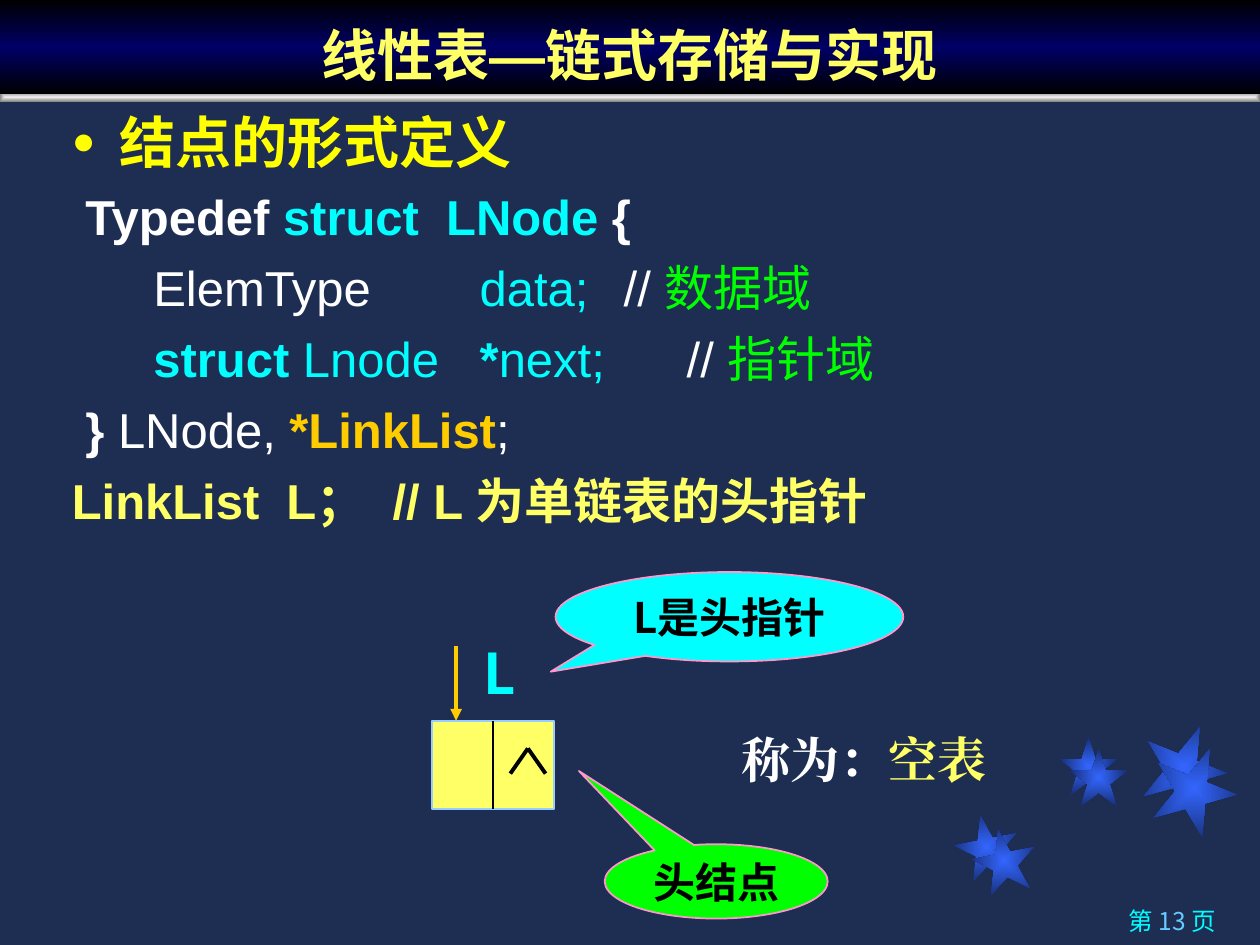
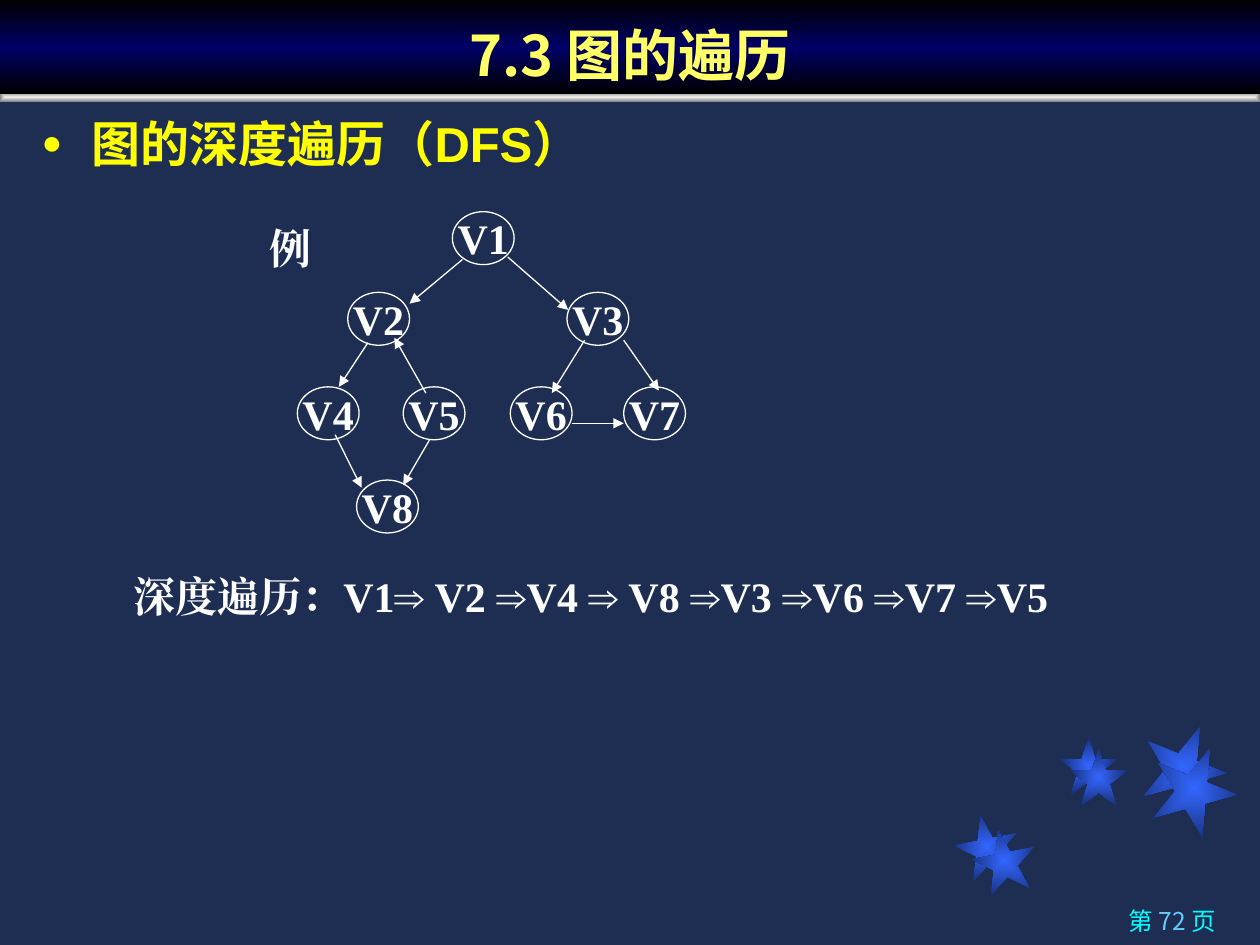
from lxml.etree import SubElement
from pptx import Presentation
from pptx.dml.color import RGBColor
from pptx.enum.shapes import MSO_CONNECTOR as Link, MSO_SHAPE as Form
from pptx.enum.text import MSO_ANCHOR as Anchor, MSO_AUTO_SIZE as Fit, PP_ALIGN as Align
from pptx.oxml.ns import qn
from pptx.util import Inches, Pt

COLORS = {
    "back": "1E2E53", "white": "FFFFFF", "black": "000000", "navy": "000066",
    "cyan": "00FFFF", "sky": "66CCFF", "pale": "99CCFF", "green": "00FF00",
    "yellow": "FFFF00", "lemon": "FFFF66", "gold": "FFCC00", "pink": "FF99CC",
    "star": "3366FF", "shade": "182F76", "silver": "EDEDED", "gray": "808080",
}
SANS, ARIAL, TIMES = "Noto Sans CJK SC", "Arial", "Times New Roman"


def rgb(name):
    return RGBColor.from_string(COLORS[name])


def place(shape, x, y, w, h):
    shape.left, shape.top = Inches(x), Inches(y)
    shape.width, shape.height = Inches(w), Inches(h)


# Text
def write(para, runs, size, font):
    """Each run is (text, colour, bold) with an optional font."""
    for text, color, bold, *other in runs:
        run = para.add_run()
        run.text = text
        face = run.font
        face.size, face.bold = Pt(size), bold
        face.color.rgb = rgb(color)
        face.name = other[0] if other else font
        SubElement(run._r.get_or_add_rPr(), qn("a:ea"), typeface=face.name)


def add_text(slide, box, runs, size, font, align=Align.LEFT):
    shape = slide.shapes.add_textbox(*map(Inches, box))
    frame = shape.text_frame
    frame.word_wrap = True
    para = frame.paragraphs[0]
    para.alignment = align
    write(para, runs, size, font)


def set_list(para, indent, bullet):
    props = para._p.get_or_add_pPr()
    props.set("marL", str(Inches(indent)))
    props.set("indent", str(-Inches(indent)))
    if bullet:
        tint = SubElement(props, qn("a:buClr"))
        SubElement(tint, qn("a:srgbClr"), val=COLORS["yellow"])
        SubElement(props, qn("a:buSzPct"), val="70000")
        SubElement(props, qn("a:buFont"), typeface=ARIAL)
        SubElement(props, qn("a:buChar"), char="●")
    else:
        SubElement(props, qn("a:buNone"))
    tabs = SubElement(props, qn("a:tabLst"))
    for inch in range(1 if bullet else 0, 8):
        SubElement(tabs, qn("a:tab"), pos=str(Inches(inch)), algn="l")


def fill_body(slide, box, lines, indent):
    """The first line has the bullet; each line is (size, runs)."""
    body = slide.placeholders[1]
    place(body, *box)
    frame = body.text_frame
    frame.auto_size = Fit.NONE
    for i, (size, runs) in enumerate(lines):
        para = frame.add_paragraph() if i else frame.paragraphs[0]
        set_list(para, indent, bullet=i == 0)
        para.space_before = Pt(7 if i else 0)
        write(para, runs, size, ARIAL)


# Shapes
def blend(shape, names, center=False):
    """Gradient with even stops, top to bottom or from the center out."""
    shape.fill.gradient()
    grad = shape._element.spPr.find(qn("a:gradFill"))
    for child in list(grad):
        grad.remove(child)
    stops = SubElement(grad, qn("a:gsLst"))
    for i, name in enumerate(names):
        pos = 100000 * i // (len(names) - 1)
        stop = SubElement(stops, qn("a:gs"), pos=str(pos))
        SubElement(stop, qn("a:srgbClr"), val=COLORS[name])
    if center:
        track = SubElement(grad, qn("a:path"), path="rect")
        SubElement(track, qn("a:fillToRect"), l="50000", t="50000", r="50000", b="50000")
    else:
        SubElement(grad, qn("a:lin"), ang="5400000", scaled="1")


def add_form(slide, form, box, fill=None, line=None, width=1):
    shape = slide.shapes.add_shape(form, *map(Inches, box))
    shape.shadow.inherit = False
    if fill:
        shape.fill.solid()
        shape.fill.fore_color.rgb = rgb(fill)
    else:
        shape.fill.background()
    if line:
        shape.line.color.rgb = rgb(line)
        shape.line.width = Pt(width)
    else:
        shape.line.fill.background()
    return shape


def add_label(shape, text, color, font):
    frame = shape.text_frame
    frame.word_wrap = False
    frame.vertical_anchor = Anchor.MIDDLE
    para = frame.paragraphs[0]
    para.alignment = Align.CENTER
    write(para, [(text, color, True)], 24, font)


def add_callout(slide, box, tip, fill, text):
    shape = add_form(slide, Form.OVAL_CALLOUT, box, fill, "pink")
    shape.adjustments[0], shape.adjustments[1] = tip
    add_label(shape, text, "black", SANS)


def add_line(slide, start, end, color, width, arrow=False):
    line = slide.shapes.add_connector(Link.STRAIGHT, *map(Inches, start + end))
    line.line.color.rgb = rgb(color)
    line.line.width = Pt(width)
    props = line._element.spPr
    if arrow:
        SubElement(props.find(qn("a:ln")), qn("a:tailEnd"), type="triangle")
    SubElement(props, qn("a:effectLst"))


# Shared look
def dress(slide, layout):
    """Draw the stars and the bar once, then hand them to the layout."""
    stars = [(7.58, 6.47, 0.5, -11), (8.41, 5.85, 0.46, 0), (9.06, 5.75, 0.67, 22),
             (7.72, 6.58, 0.5, -11), (8.49, 5.94, 0.46, 0), (9.14, 5.92, 0.67, 22)]
    parts = []
    for x, y, size, turn in stars:
        star = add_form(slide, Form.STAR_5_POINT, (x, y, size, size))
        star.rotation = turn
        blend(star, ["star", "shade"], center=True)
        parts.append(star)
    bar = add_form(slide, Form.RECTANGLE, (0, 0.73, 10, 0.08))
    blend(bar, ["silver", "gray"], center=True)
    for part in parts + [bar]:
        layout.shapes.element.append(part.element)


def add_frame(slide, title, page):
    head = slide.shapes.title
    place(head, 0, 0, 10, 0.75)
    blend(head, ["black", "navy", "black"])
    frame = head.text_frame
    frame.auto_size = Fit.NONE
    frame.vertical_anchor = Anchor.BOTTOM
    para = frame.paragraphs[0]
    para.alignment = Align.CENTER
    write(para, title, 32, SANS)
    number = [("第 ", "cyan", False), (f"{page} ", "sky", False), ("页", "cyan", False)]
    add_text(slide, (7.12, 7.14, 2.63, 0.36), number, 14, SANS, Align.RIGHT)


# Slide contents
def draw_list(slide):
    add_frame(slide, [("线性表", "lemon", True), ("—", "lemon", True, ARIAL),
                      ("链式存储与实现", "lemon", True)], 13)
    fill_body(slide, (0.47, 0.8, 9.25, 3.55), [
        (32, [("结点的形式定义", "yellow", True)]),
        (28, [(" Typedef ", "white", True), ("struct  LNode", "cyan", True),
              (" {", "white", True)]),
        (28, [("      ElemType        ", "white", False), ("data;  \t", "cyan", False),
              ("// ", "white", False), ("数据域", "green", False)]),
        (28, [("      ", "white", False), ("struct", "cyan", True),
              (" Lnode   ", "cyan", False), ("*", "cyan", True),
              ("next;  \t", "cyan", False), ("// ", "white", False),
              ("指针域", "green", False)]),
        (28, [(" }", "white", True), (" LNode, ", "white", False),
              ("*LinkList", "gold", True), (";", "white", False)]),
        (28, [("LinkList  L；  // L 为单链表的头指针", "lemon", True)]),
    ], 0.38)

    # Head node with its null pointer
    add_form(slide, Form.RECTANGLE, (3.43, 5.72, 0.97, 0.7), "lemon", "pale")
    for foot in (4.05, 4.33):
        add_line(slide, (4.19, 5.94), (foot, 6.14), "black", 2.25)
    add_line(slide, (3.91, 5.72), (3.91, 6.42), "black", 1)
    add_line(slide, (3.62, 5.13), (3.62, 5.72), "gold", 2.25, arrow=True)
    add_text(slide, (3.74, 5.02, 0.67, 0.64), [("L", "cyan", True)], 32, SANS)

    add_callout(slide, (4.41, 4.54, 2.76, 0.71), (-0.514, 0.614), "cyan", "L是头指针")
    add_callout(slide, (4.8, 6.7, 1.77, 0.59), (-0.616, -1.485), "green", "头结点")
    add_text(slide, (5.79, 5.74, 2.56, 0.57),
             [("称为：", "white", True), ("空表", "lemon", True)], 28, TIMES)


def draw_graph(slide):
    add_frame(slide, [("7.3 图的遍历", "lemon", True)], 72)
    fill_body(slide, (0.23, 0.85, 9.5, 0.59),
              [(28, [("图的深度遍历（DFS）", "yellow", True)])], 0.4)
    add_text(slide, (2.04, 1.72, 0.6, 0.5), [("例", "white", True)], 24, TIMES)

    # Nodes, row by row
    rows = [(1.68, {"V1": 3.59}),
            (2.32, {"V2": 2.76, "V3": 4.5}),
            (3.07, {"V4": 2.36, "V5": 3.2, "V6": 4.05, "V7": 4.95}),
            (3.81, {"V8": 2.83})]
    for y, nodes in rows:
        for name, x in nodes.items():
            node = add_form(slide, Form.OVAL, (x, y, 0.49, 0.42), None, "white", 0.75)
            add_label(node, name, "white", TIMES)

    # Edges
    edges = [((3.67, 2.06), (3.25, 2.41)), ((4.03, 2.04), (4.51, 2.46)),
             ((2.92, 2.72), (2.69, 3.07)), ((3.38, 3.12), (3.13, 2.68)),
             ((2.66, 3.45), (2.87, 3.87)), ((3.41, 3.49), (3.2, 3.85)),
             ((4.64, 2.7), (4.38, 3.12)), ((4.54, 3.36), (4.95, 3.36)),
             ((4.95, 2.7), (5.23, 3.1))]
    for start, end in edges:
        add_line(slide, start, end, "white", 0.75, arrow=True)

    # Visit order
    steps = ["深度遍历：V1", " V2 ", "V4 ", " V8 ", "V3 ", "V6 ", "V7 ", "V5"]
    runs = [(steps[0], "white", True)]
    for step in steps[1:]:
        runs += [("⇒", "white", True, ARIAL), (step, "white", True)]
    add_text(slide, (0.96, 4.48, 7.9, 0.5), runs, 24, TIMES)


def main():
    prs = Presentation()
    prs.slide_width, prs.slide_height = Inches(10), Inches(7.5)
    back = prs.slide_master.background.fill
    back.solid()
    back.fore_color.rgb = rgb("back")
    layout = prs.slide_layouts[1]
    first, second = [prs.slides.add_slide(layout) for _ in range(2)]
    dress(first, layout)
    draw_list(first)
    draw_graph(second)
    prs.save("out.pptx")


if __name__ == "__main__":
    main()
